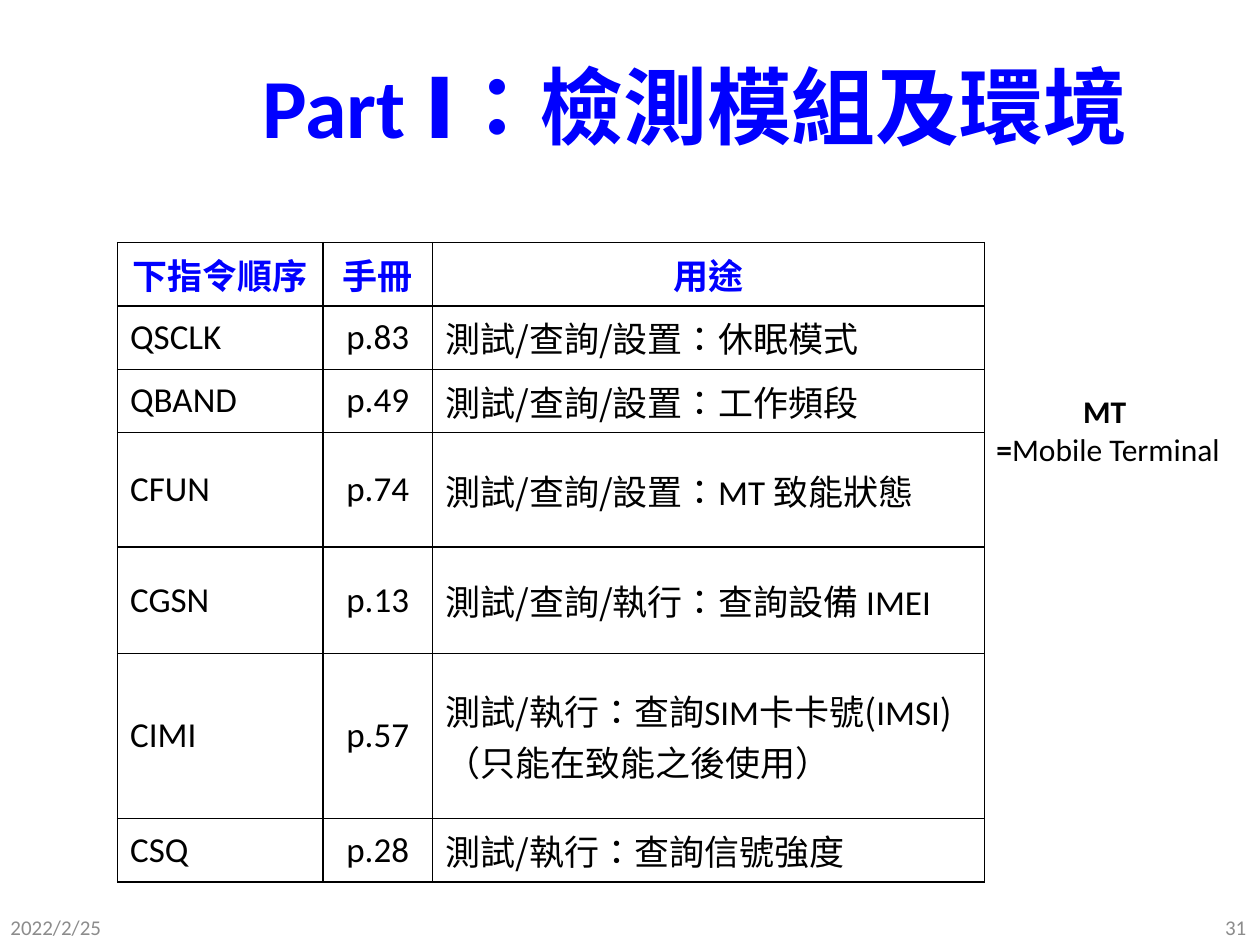
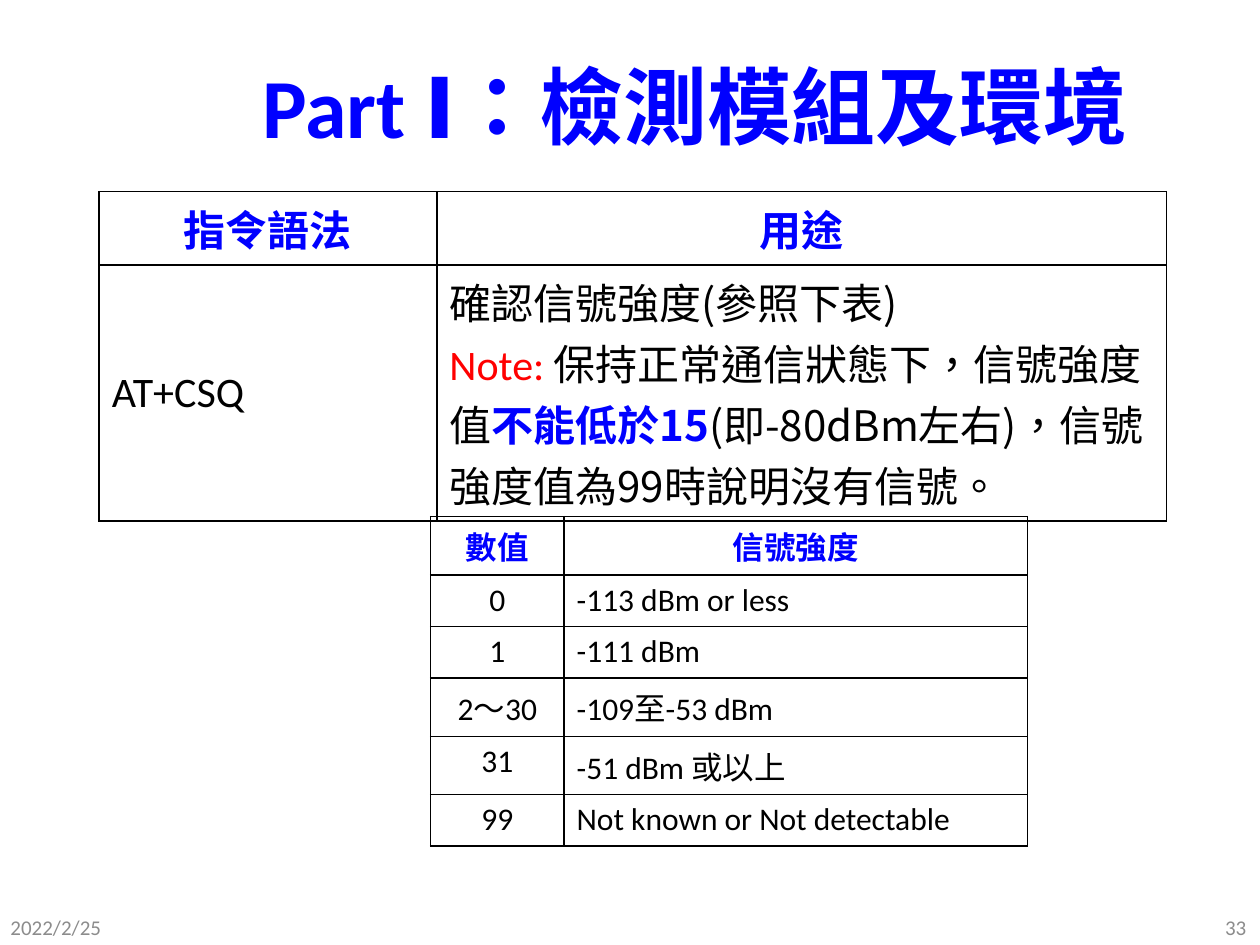
from pptx import Presentation
from pptx.dml.color import RGBColor as Rgb
from pptx.enum.lang import MSO_LANGUAGE_ID as Lang
from pptx.enum.text import MSO_ANCHOR as Anchor, PP_ALIGN as Align
from pptx.oxml.ns import qn
from pptx.util import Inches, Pt
from lxml.etree import SubElement as Sub

# Shared style
BLUE, RED, BLACK, GREY, WHITE = "0000FF", "FF0000", "000000", "8C8C8C", "FFFFFF"
LATIN, HAN = "Calibri", "Noto Sans CJK SC"
LEFT, MID, RIGHT = Align.LEFT, Align.CENTER, Align.RIGHT
COLS, ROWS = 100, 75  # slide grid
TITLE = "Part Ⅰ：檢測模組及環境"
DATE = "2022/2/25"


def color(code):
    return Rgb.from_string(code)


def write(para, text, size=18, tint=BLACK, bold=False, face=None):
    """Add one run; ideographs select the Han face unless one is given."""
    run = para.add_run()
    run.text = text
    font = run.font
    has_han = any("一" <= char <= "鿿" for char in text)
    font.name = face or (HAN if has_han else LATIN)
    font.size, font.bold = Pt(size), bold
    font.color.rgb = color(tint)
    font.language_id = Lang.TRADITIONAL_CHINESE
    Sub(run._r.get_or_add_rPr(), qn("a:ea"), typeface=HAN)


class Deck:
    def __init__(self):
        self.prs = Presentation()
        self.prs.slide_width, self.prs.slide_height = Inches(10), Inches(7.5)
        self.slide = None

    def x(self, cols):
        return int(self.prs.slide_width * cols / COLS)

    def y(self, rows):
        return int(self.prs.slide_height * rows / ROWS)

    def fill(self, frame, paras, align, **style):
        """Paragraphs are strings or lists of runs; a run may carry its format."""
        if isinstance(paras, str):
            paras = [paras]
        for i, runs in enumerate(paras):
            para = frame.add_paragraph() if i else frame.paragraphs[0]
            para.alignment = align
            for item in [runs] if isinstance(runs, str) else runs:
                text, extra = (item, {}) if isinstance(item, str) else item
                write(para, text, **{**style, **extra})

    def text(self, paras, left, top, wide, high, align=LEFT,
             anchor=Anchor.MIDDLE, **style):
        box = self.slide.shapes.add_textbox(
            self.x(left), self.y(top), self.x(wide), self.y(high))
        frame = box.text_frame
        frame.word_wrap, frame.vertical_anchor = True, anchor
        self.fill(frame, paras, align, **style)

    def page(self, number):
        """Start a slide with its title and footers."""
        self.slide = self.prs.slides.add_slide(self.prs.slide_layouts[6])
        back = self.slide.background.fill
        back.solid()
        back.fore_color.rgb = color(WHITE)
        self.text(TITLE, 14.4, 2.1, 81.5, 12.5, MID,
                  size=48, tint=BLUE, bold=True, face=LATIN)
        for note, left, align in ((DATE, -0.15, LEFT), (number, 76.6, RIGHT)):
            self.text(note, left, 72.1, 23.3, 2.9, align, size=12, tint=GREY)

    def edge(self, cell):
        props = cell._tc.get_or_add_tcPr()
        for side in ("lnL", "lnR", "lnT", "lnB"):
            line = Sub(props, qn("a:" + side), w=str(Pt(1)))
            Sub(Sub(line, qn("a:solidFill")), qn("a:srgbClr"), val=BLACK)

    def table(self, data, left, top, widths, heights, aligns, size,
              anchor=Anchor.MIDDLE):
        """Ruled table with a blue, centred header row."""
        table = self.slide.shapes.add_table(
            len(data), len(widths), self.x(left), self.y(top),
            self.x(sum(widths)), self.y(sum(heights))).table
        table.first_row = table.horz_banding = False
        for col, wide in zip(table.columns, widths):
            col.width = self.x(wide)
        for row, high in zip(table.rows, heights):
            row.height = self.y(high)
        for r, line in enumerate(data):
            for c, paras in enumerate(line):
                cell = table.cell(r, c)
                self.edge(cell)
                cell.fill.background()
                cell.vertical_anchor = anchor
                self.fill(cell.text_frame, paras, aligns[c] if r else MID,
                          size=size, tint=BLACK if r else BLUE, bold=not r)


def orders(deck):
    """Command order and manual pages."""
    deck.page("31")
    data = [
        ("下指令順序", "手冊", "用途"),
        ("QSCLK", "p.83", "測試/查詢/設置：休眠模式"),
        ("QBAND", "p.49", "測試/查詢/設置：工作頻段"),
        ("CFUN", "p.74", [["測試/查詢/設置：", "MT ", "致能狀態"]]),
        ("CGSN", "p.13", [["測試/查詢/執行：查詢設備 ", "IMEI"]]),
        ("CIMI", "p.57", [
            ["測試/執行：查詢", "SIM", "卡卡號(", "IMSI", (")", {"face": HAN})],
            "（只能在致能之後使用）"]),
        ("CSQ", "p.28", "測試/執行：查詢信號強度"),
    ]
    line = 5.03
    deck.table(data, 9.33, 19.25, (16.3, 8.7, 43.8),
               (line, line, line, 9.08, 8.45, 13.1, line),
               (LEFT, MID, LEFT), 20)
    deck.text(["MT ", ["=", ("Mobile Terminal", {"bold": False})]],
              76.3, 30.6, 23.3, 7.1, MID, Anchor.TOP, bold=True)


def signal(deck):
    """Signal strength command and its scale."""
    deck.page("33")
    usage = [
        "確認信號強度(參照下表)",
        [("Note: ", {"tint": RED}), "保持正常通信狀態下，信號強度值",
         ("不能低於15", {"tint": BLUE, "bold": True}),
         "(即-80dBm左右)，信號強度值為99時說明沒有信號。"],
    ]
    deck.table([("指令語法", "用途"), ("AT+CSQ", usage)],
               7.87, 15.2, (26.8, 57.9), (5.83, 20.33), (LEFT, LEFT), 24)
    scale = [
        ("數值", "信號強度"),
        ("0", "-113 dBm or less"),
        ("1", "-111 dBm"),
        ("2～30", [["-109", "至", "-53 dBm"]]),
        ("31", [["-51 dBm ", "或以上"]]),
        ("99", "Not known or Not detectable"),
    ]
    thin, thick = 4.1, 4.62
    deck.table(scale, 34.17, 41, (10.6, 36.8),
               (thick, thin, thin, thick, thick, thin),
               (MID, LEFT), 18, Anchor.TOP)


def main():
    deck = Deck()
    orders(deck)
    signal(deck)
    deck.prs.save("out.pptx")


if __name__ == "__main__":
    main()
